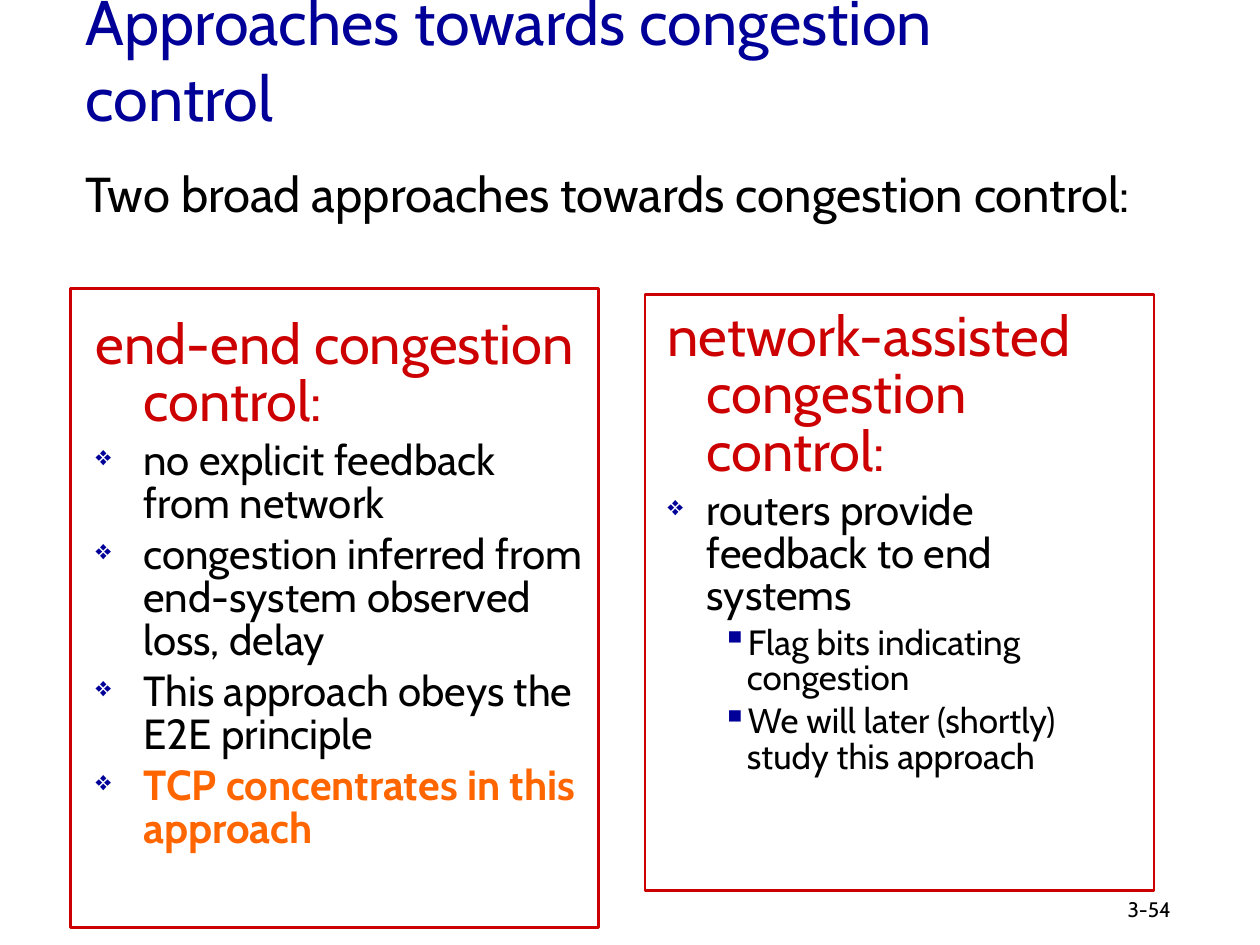
from lxml.etree import SubElement
from pptx import Presentation
from pptx.dml.color import RGBColor
from pptx.enum.shapes import MSO_SHAPE
from pptx.enum.text import MSO_ANCHOR, MSO_AUTO_SIZE, PP_ALIGN
from pptx.oxml.ns import qn
from pptx.util import Inches, Pt

BLACK = RGBColor(0x00, 0x00, 0x00)
BLUE = RGBColor(0x00, 0x00, 0x99)
RED = RGBColor(0xCC, 0x00, 0x00)
ORANGE = RGBColor(0xFF, 0x66, 0x00)

# Paragraph formats: size, colour, bullet and outline level
HEADING = {"size": 32, "color": RED}
ITEM = {"size": 24, "bullet": "❖", "bullet_size": 65}
KEY_ITEM = {**ITEM, "color": ORANGE, "bold": True}
SUB_ITEM = {"size": 20, "bullet": "▪", "level": 1, "margin": 0.63, "hang": 0.2}


class SlideBuilder:
    font_name = "Cabin"

    def __init__(self, deck):
        self.page = deck.slides.add_slide(deck.slide_layouts[5])

    def add_span(self, para, text, size, color=BLACK, bold=False):
        span = para.add_run()
        span.text = text
        values = {"name": self.font_name, "size": Pt(size), "bold": bold}
        for name, value in values.items():
            setattr(span.font, name, value)
        span.font.color.rgb = color

    def title(self, text, left, top, width, height):
        box = self.page.shapes.title
        values = {"left": left, "top": top, "width": width, "height": height}
        for name, value in values.items():
            setattr(box, name, Inches(value))
        frame = box.text_frame
        frame.auto_size = MSO_AUTO_SIZE.NONE
        frame.vertical_anchor = MSO_ANCHOR.MIDDLE
        para = frame.paragraphs[0]
        para.alignment = PP_ALIGN.LEFT
        self.add_span(para, text, 36, BLUE)

    def text_box(self, left, top, width, height):
        box = self.page.shapes.add_textbox(*map(Inches, (left, top, width, height)))
        box.text_frame.word_wrap = True
        return box.text_frame

    def label(self, text, size, *place):
        self.add_span(self.text_box(*place).paragraphs[0], text, size)

    def outline(self, lines, hang, *place):
        frame = self.text_box(*place)
        for index, (text, style) in enumerate(lines):
            para = frame.add_paragraph() if index else frame.paragraphs[0]
            self.outline_line(para, text, **{"margin": hang, "hang": hang, **style})

    def outline_line(self, para, text, size, margin, hang, color=BLACK, bold=False,
                     bullet=None, bullet_size=100, level=0):
        values = {"level": level, "line_spacing": 0.85, "space_before": Pt(size * 0.2)}
        for name, value in values.items():
            setattr(para, name, value)
        props = para._p.get_or_add_pPr()
        props.set("marL", str(Inches(margin)))
        props.set("indent", str(-Inches(hang)))
        if bullet:
            bullet_color = SubElement(props, qn("a:buClr"))
            SubElement(bullet_color, qn("a:srgbClr"), val=str(BLUE))
            SubElement(props, qn("a:buSzPct"), val=str(bullet_size * 1000))
            SubElement(props, qn("a:buChar"), char=bullet)
        self.add_span(para, text, size, color, bold)

    def border(self, *place):
        box = self.page.shapes.add_shape(MSO_SHAPE.RECTANGLE, *map(Inches, place))
        box.shadow.inherit = False
        box.fill.background()
        box.line.color.rgb = RED
        box.line.width = Pt(1.5)


def main():
    deck = Presentation()
    deck.slide_width, deck.slide_height = Inches(10), Inches(7.5)
    slide = SlideBuilder(deck)

    # Title and introduction
    slide.title("Approaches towards congestion control", 0.58, 0.05, 8.5, 0.83)
    slide.outline([("Two broad approaches towards congestion control:", {"size": 28})],
                  0.38, 0.58, 1.32, 8.92, 0.6)

    # Left approach
    slide.outline([
        ("end-end congestion control:", HEADING),
        ("no explicit feedback from network", ITEM),
        ("congestion inferred from end-system observed loss, delay", ITEM),
        ("This approach obeys the E2E principle", ITEM),
        ("TCP concentrates in this approach", KEY_ITEM),
    ], 0.38, 0.66, 2.48, 4.08, 4.59)
    slide.border(0.56, 2.29, 4.19, 5.07)

    # Right approach
    slide.outline([
        ("network-assisted congestion control:", HEADING),
        ("routers provide feedback to end systems", ITEM),
        ("Flag bits indicating congestion", SUB_ITEM),
        ("We will later (shortly) study this approach", SUB_ITEM),
    ], 0.31, 5.2, 2.42, 3.88, 4.61)
    slide.border(5.12, 2.34, 4.04, 4.73)

    # Page number
    slide.label("3-54", 12, 8.85, 7.07, 0.99, 0.3)

    deck.save("out.pptx")


if __name__ == "__main__":
    main()
